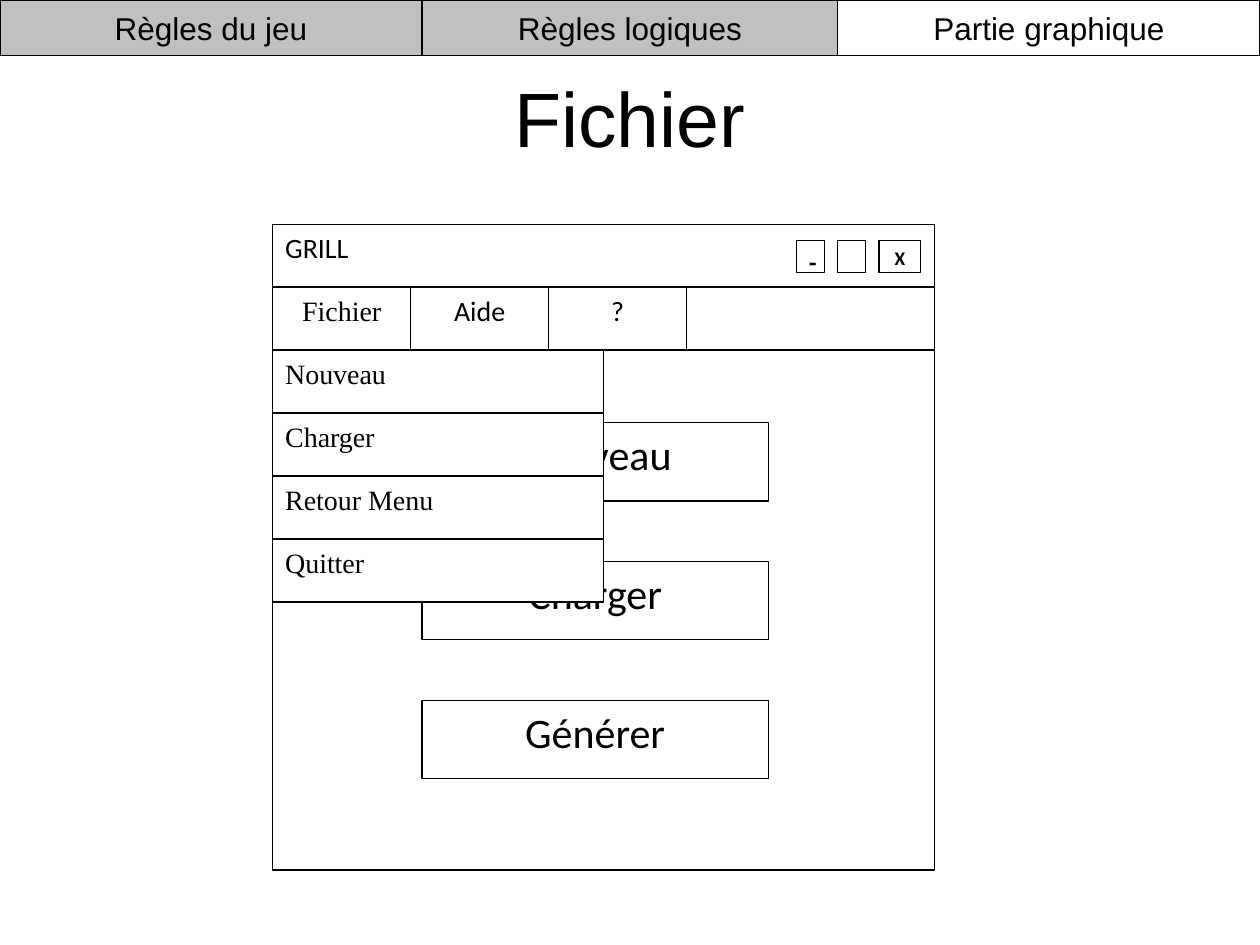
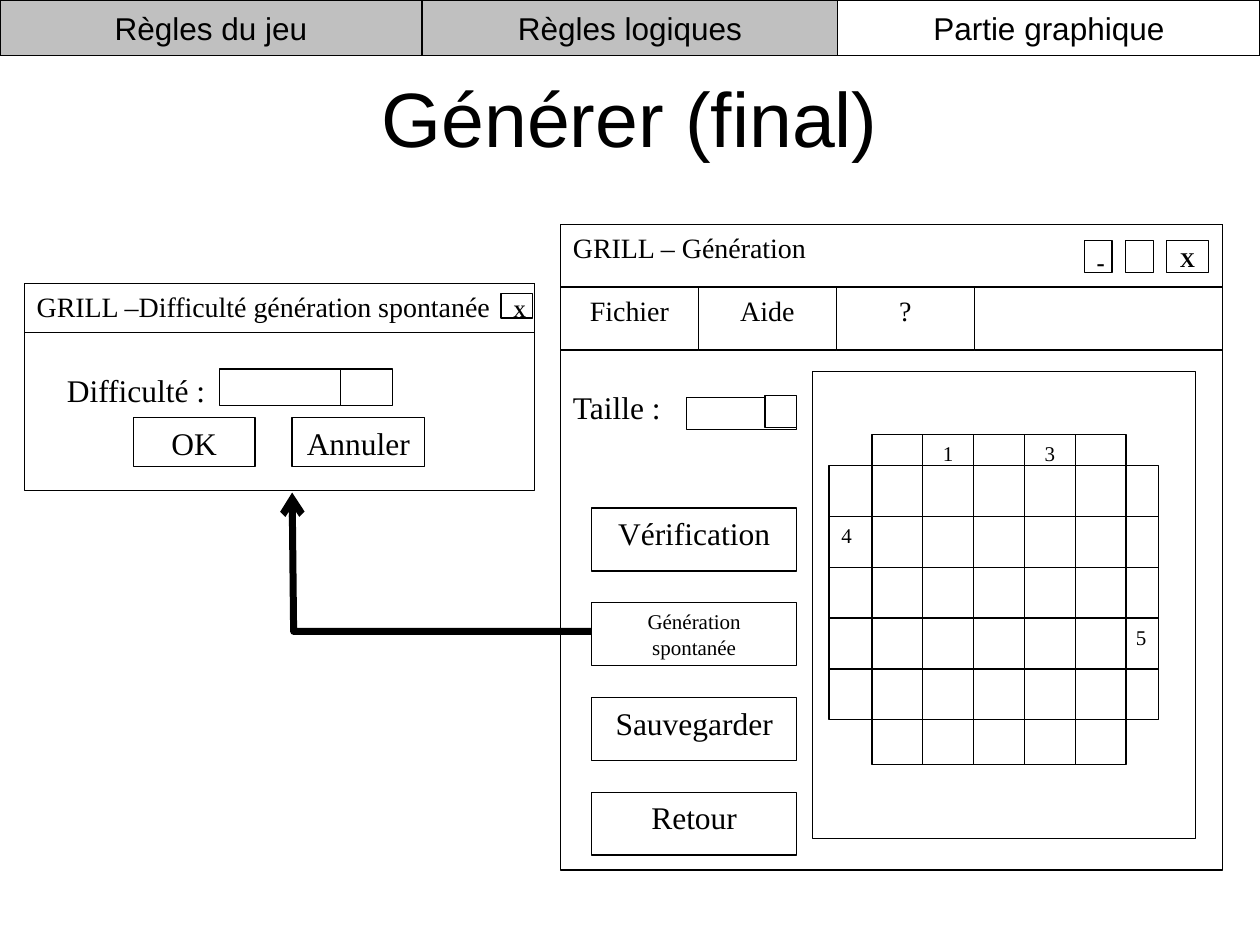
from dataclasses import dataclass

from lxml import etree
from pptx import Presentation
from pptx.dml.color import RGBColor
from pptx.enum import shapes, text
from pptx.oxml import ns
from pptx.util import Cm, Pt


@dataclass(frozen=True)
class Theme:
    ink: RGBColor = RGBColor(0, 0, 0)
    paper: RGBColor = RGBColor(255, 255, 255)
    inactive: RGBColor = RGBColor(0xC0, 0xC0, 0xC0)
    heading: str = "Arial"
    sans: str = "Calibri"
    serif: str = "Times New Roman"
    title: int = 44
    large: int = 24
    label: int = 18
    menu: int = 16
    symbol: int = 14
    small: int = 12
    close: int = 11
    tiny: int = 10
    outline: float = 0.75
    arrow: float = 4


THEME = Theme()
LEFT, CENTER, RIGHT = text.PP_ALIGN.LEFT, text.PP_ALIGN.CENTER, text.PP_ALIGN.RIGHT
TOP, MIDDLE = text.MSO_ANCHOR.TOP, text.MSO_ANCHOR.MIDDLE

# Shared geometry, in centimetres
PAGE_WIDTH, PAGE_HEIGHT = 25.4, 19.05
WINDOW_TOP, WINDOW_WIDTH, WINDOW_HEIGHT = 4.52, 13.34, 13.02
ROW, TAB_WIDTH = 1.27, 2.78


# Text and basic elements
def put_text(shape, words, *, size=THEME.label, font=THEME.serif, bold=False,
             align=CENTER, anchor=TOP, wrap=True):
    frame = shape.text_frame
    frame.word_wrap = wrap
    frame.auto_size = text.MSO_AUTO_SIZE.NONE
    frame.vertical_anchor = anchor
    para = frame.paragraphs[0]
    para.alignment = align
    span = para.add_run()
    span.text = words
    span.font.size = Pt(size)
    span.font.name = font
    span.font.bold = bold
    span.font.color.rgb = THEME.ink


def add_box(page, left, top, width, height, words="", *, fill=THEME.paper, **style):
    box = page.shapes.add_shape(shapes.MSO_SHAPE.RECTANGLE,
                                Cm(left), Cm(top), Cm(width), Cm(height))
    box.shadow.inherit = False
    if fill is None:
        box.fill.background()
    else:
        box.fill.solid()
        box.fill.fore_color.rgb = fill
    box.line.color.rgb = THEME.ink
    box.line.width = Pt(THEME.outline)
    if words:
        put_text(box, words, **style)
    return box


def add_label(page, left, top, width, height, words):
    label = page.shapes.add_textbox(Cm(left), Cm(top), Cm(width), Cm(height))
    put_text(label, words, align=LEFT)


def add_arrow(page, points):
    start, *others = [(Cm(x), Cm(y)) for x, y in points]
    builder = page.shapes.build_freeform(*start)
    builder.add_line_segments(others, close=False)
    arrow = builder.convert_to_shape()
    arrow.shadow.inherit = False
    arrow.fill.background()
    arrow.line.color.rgb = THEME.ink
    arrow.line.width = Pt(THEME.arrow)
    etree.SubElement(arrow.line._get_or_add_ln(), ns.qn("a:tailEnd"), type="arrow")


# Parts shared by the slides
def add_page(deck, title):
    page = deck.slides.add_slide(deck.slide_layouts[5])
    heading = page.shapes.title
    heading.left, heading.top = Cm(1.27), Cm(0.76)
    heading.width, heading.height = Cm(22.86), Cm(3.18)
    put_text(heading, title, size=THEME.title, font=THEME.heading, anchor=MIDDLE)
    return page


def add_navigation(page):
    side = 8.51
    tabs = [
        ("Règles logiques", 0, PAGE_WIDTH, THEME.inactive),
        ("Règles du jeu", 0, side, THEME.inactive),
        ("Partie graphique", PAGE_WIDTH - side, side, THEME.paper),
    ]
    for words, left, width, fill in tabs:
        add_box(page, left, 0, width, 1.12, words, fill=fill,
                font=THEME.heading, anchor=MIDDLE, wrap=False)


def add_window(page, left, title, *, font, file_font, close_size):
    add_box(page, left, WINDOW_TOP, WINDOW_WIDTH, WINDOW_HEIGHT, fill=None)
    add_box(page, left, WINDOW_TOP, WINDOW_WIDTH, ROW, title,
            size=THEME.menu, font=font, align=LEFT)
    # Menu bar
    menu_top = WINDOW_TOP + ROW
    menus = [("Fichier", file_font), ("Aide", font), ("?", font)]
    for index, (words, menu_font) in enumerate(menus):
        add_box(page, left + index * TAB_WIDTH, menu_top, TAB_WIDTH, ROW, words,
                size=THEME.menu, font=menu_font)
    used = len(menus) * TAB_WIDTH
    add_box(page, left + used, menu_top, WINDOW_WIDTH - used, ROW)
    # Window controls
    controls = [("-", 0.56, THEME.symbol), ("", 0.56, THEME.symbol),
                ("X", 0.84, close_size)]
    for index, (words, width, size) in enumerate(controls):
        add_box(page, left + 10.56 + index * 0.83, WINDOW_TOP + 0.33, width, 0.64,
                words, size=size, font=font, bold=True)


# Parts of the "Fichier" slide
def add_main_buttons(page):
    for index, words in enumerate(["Nouveau", "Charger", "Générer"]):
        add_box(page, 8.51, 8.52 + index * 2.8, 6.98, 1.58, words,
                size=THEME.large, font=THEME.sans)


def add_dropdown(page, left):
    entries = ["Nouveau", "Charger", "Retour Menu", "Quitter"]
    for row, words in enumerate(entries, start=2):
        add_box(page, left, WINDOW_TOP + row * ROW, WINDOW_WIDTH / 2, ROW, words,
                size=THEME.menu, align=LEFT)


# Parts of the "Générer" slide
def add_puzzle(page):
    cell, length = 1.024, 6.65
    grid = 5 * cell
    columns_left, columns_top = 17.58, 8.76
    rows_left, rows_top = 16.71, 9.39
    add_box(page, 16.38, 7.49, 7.72, 9.42)
    add_box(page, columns_left, columns_top, grid, length, fill=None)
    for column, clue in [(1, "1"), (3, "3")]:
        add_box(page, columns_left + column * cell, columns_top, cell, length, clue,
                fill=None, size=THEME.small)
    add_box(page, rows_left, rows_top, length, grid, fill=None)
    for row, clue, align in [(1, "4", LEFT), (3, "5", RIGHT)]:
        add_box(page, rows_left, rows_top + row * cell, length, cell, clue,
                fill=None, size=THEME.small, align=align)


def add_side_panel(page, left):
    add_label(page, left, 7.7, 2.54, 1.27, "Taille :")
    add_box(page, 13.84, 8.02, 2.22, 0.64)
    add_box(page, 15.42, 7.98, 0.64, 0.64)
    buttons = [("Vérification", THEME.label), ("Génération spontanée", THEME.small),
               ("Sauvegarder", THEME.label), ("Retour", THEME.label)]
    for index, (words, size) in enumerate(buttons):
        add_box(page, 11.93, 10.24 + index * 1.91, 4.13, 1.27, words, size=size)


def add_difficulty_dialog(page):
    left, top, width, bar = 0.49, 5.72, 10.29, 0.98
    add_box(page, left, top, width, bar, "GRILL –Difficulté génération spontanée",
            size=THEME.menu, align=LEFT)
    add_box(page, left, top, width, 4.17, fill=None)
    add_label(page, 1.1, 7.35, 3.43, bar, "Difficulté :")
    add_box(page, 4.42, 7.44, 3.43, 0.74)
    add_box(page, 6.87, 7.44, 1.04, 0.74)
    add_box(page, 2.69, 8.42, 2.45, bar, "OK")
    add_box(page, 5.89, 8.42, 2.67, bar, "Annuler")
    add_box(page, 10.1, 5.92, 0.64, 0.49, "X", size=THEME.tiny, bold=True)


# Slides
def build_file_menu(deck):
    page = add_page(deck, "Fichier")
    left = 5.5
    add_window(page, left, "GRILL", font=THEME.sans, file_font=THEME.serif,
               close_size=THEME.close)
    add_main_buttons(page)
    add_dropdown(page, left)
    add_navigation(page)


def build_generation(deck):
    page = add_page(deck, "Générer (final)")
    left = 11.3
    add_window(page, left, "GRILL – Génération", font=THEME.serif,
               file_font=THEME.serif, close_size=THEME.small)
    add_puzzle(page)
    add_side_panel(page, left)
    add_difficulty_dialog(page)
    add_arrow(page, [(11.91, 12.73), (5.92, 12.73), (5.89, 9.93)])
    add_navigation(page)


def main():
    deck = Presentation()
    deck.slide_width, deck.slide_height = Cm(PAGE_WIDTH), Cm(PAGE_HEIGHT)
    build_file_menu(deck)
    build_generation(deck)
    deck.save("out.pptx")


if __name__ == "__main__":
    main()
